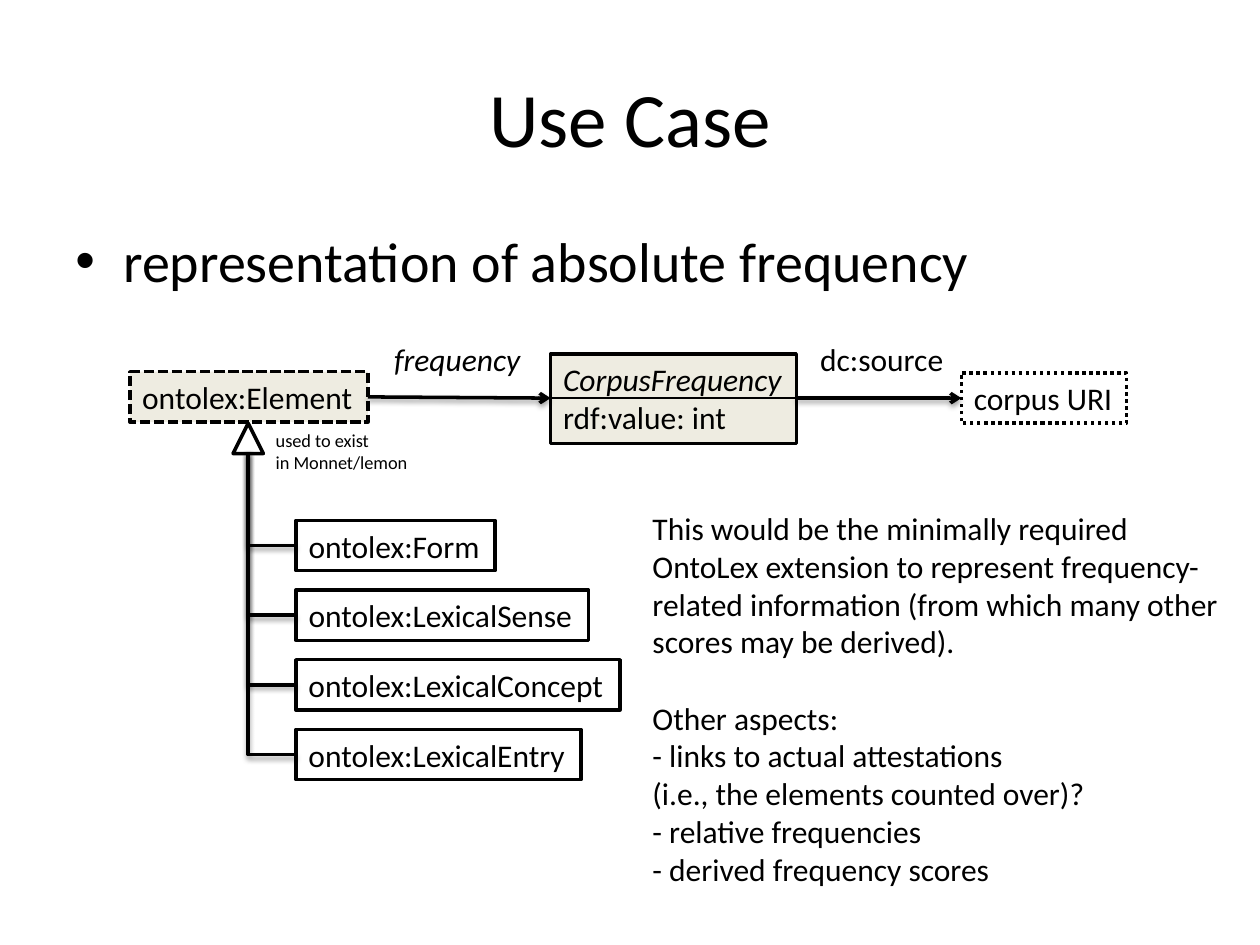
"""Builds the use case slide about absolute frequency as a small class diagram."""
import dataclasses
import typing

import lxml.etree
import pptx
import pptx.dml.color
import pptx.enum.dml
import pptx.enum.shapes
import pptx.enum.text
import pptx.oxml.ns
import pptx.util

COLUMNS, ROWS = 100, 75
WIDTH, HEIGHT = pptx.util.Inches(10), pptx.util.Inches(7.5)
BLACK, WHITE, BEIGE = "000000", "FFFFFF", "EEECE1"
Shape = pptx.enum.shapes.MSO_SHAPE
Connector = pptx.enum.shapes.MSO_CONNECTOR
Dash = pptx.enum.dml.MSO_LINE
Anchor = pptx.enum.text.MSO_ANCHOR
Align = pptx.enum.text.PP_ALIGN


@dataclasses.dataclass(frozen=True)
class Area:
    """A rectangle in grid columns and rows."""
    column: float
    row: float
    columns: float
    rows: float

    def lengths(self) -> tuple[int, int, int, int]:
        """Return left, top, width and height as slide lengths."""
        return across(self.column), down(self.row), across(self.columns), down(self.rows)


@dataclasses.dataclass(frozen=True)
class Line:
    """One line of text with its slant and the points above it."""
    text: str
    italic: bool = False
    above: float = 0


@dataclasses.dataclass(frozen=True)
class Node:
    """A framed class of the diagram."""
    area: Area
    lines: tuple[Line, ...]
    fill: typing.Optional[str] = WHITE
    dash: typing.Optional[int] = None


@dataclasses.dataclass(frozen=True)
class Label:
    """Free text on the page."""
    area: Area
    lines: tuple[Line, ...]
    size: float = 18


@dataclasses.dataclass(frozen=True)
class Link:
    """A connector between two grid points."""
    start: tuple[float, float]
    end: tuple[float, float]
    width: float = 2
    arrow: bool = False
    bent: bool = False
    shadow: bool = True


ELEMENT = Node(Area(10.3, 29.5, 18.9, 4), (Line("ontolex:Element"),), BEIGE, Dash.SQUARE_DOT)
FREQUENCY = Node(Area(43.7, 28.1, 19.5, 7.1),
                 (Line("CorpusFrequency", italic=True), Line("rdf:value: int")), BEIGE)
CORPUS = Node(Area(76.3, 29.6, 13.1, 4), (Line("corpus URI"),), None, Dash.ROUND_DOT)
SUBCLASSES = [
    Node(Area(23.5, 41.3 + 5.53 * step, columns, 4), (Line(f"ontolex:{name}"),))
    for step, (name, columns) in enumerate(
        [("Form", 15.8), ("LexicalSense", 23.2), ("LexicalConcept", 25.7), ("LexicalEntry", 22.6)])
]
TRIANGLE = Node(Area(18.5, 33.6, 2.4, 2.4), ())
TRUNK = (19.7, 35.9)
AXIS = 31.6
LINKS = [Link((node.area.column, node.area.row + node.area.rows / 2), TRUNK, bent=True)
         for node in SUBCLASSES] + [
    Link((29.2, 31.5), (43.7, AXIS), arrow=True),
    Link((63.2, AXIS), (76.3, AXIS), arrow=True),
    Link((43.7, AXIS), (63.2, AXIS), width=0.75, shadow=False),
]
LABELS = [
    Label(Area(30.3, 26.5, 12.4, 4), (Line("frequency", italic=True),)),
    Label(Area(64.1, 26.5, 11.9, 4), (Line("dc:source"),)),
    Label(Area(20.9, 33.6, 12.6, 4.5), (Line("used to exist"), Line("in Monnet/lemon")), 10.5),
    Label(Area(50.8, 39.9, 47.5, 31.3), (
        Line("This would be the minimally required"),
        Line("OntoLex extension to represent frequency-"),
        Line("related information (from which many other"),
        Line("scores may be derived)."),
        Line("Other aspects:", above=22),
        Line("- links to actual attestations"),
        Line("(i.e., the elements counted over)?"),
        Line("- relative frequencies"),
        Line("- derived frequency scores"),
    )),
]


def across(columns: float) -> int:
    """Turn grid columns into a length."""
    return round(WIDTH * columns / COLUMNS)


def down(rows: float) -> int:
    """Turn grid rows into a length."""
    return round(HEIGHT * rows / ROWS)


def colour(code: str) -> pptx.dml.color.RGBColor:
    """Turn a hex string into a colour."""
    return pptx.dml.color.RGBColor.from_string(code)


def add_xml(parent, tag: str, **attributes: str):
    """Append a drawing element with attributes."""
    child = lxml.etree.SubElement(parent, pptx.oxml.ns.qn(tag))
    for name, value in attributes.items():
        child.set(name, value)
    return child


def write(box, lines: typing.Sequence[Line], size: float, wrap: bool = False,
          align: int = Align.LEFT, anchor: int = Anchor.TOP) -> None:
    """Fill a box with formatted lines."""
    frame = box.text_frame
    frame.text = "\n".join(line.text for line in lines)
    frame.word_wrap = wrap
    frame.vertical_anchor = anchor
    for line, para in zip(lines, frame.paragraphs):
        para.alignment = align
        para.space_before = pptx.util.Pt(line.above)
        for span in para.runs:
            span.font.name = "Calibri"
            span.font.size = pptx.util.Pt(size)
            span.font.italic = line.italic
            span.font.color.rgb = colour(BLACK)


def draw_node(page, node: Node, preset: int = Shape.RECTANGLE) -> None:
    """Draw a framed shape with its text."""
    box = page.shapes.add_shape(preset, *node.area.lengths())
    box.shadow.inherit = False
    if node.fill:
        box.fill.solid()
        box.fill.fore_color.rgb = colour(node.fill)
    else:
        box.fill.background()
    box.line.color.rgb = colour(BLACK)
    box.line.width = pptx.util.Pt(2)
    if node.dash:
        box.line.dash_style = node.dash
    if node.lines:
        write(box, node.lines, 18)


def draw_link(page, link: Link) -> None:
    """Draw a straight or bent connector."""
    kind = Connector.ELBOW if link.bent else Connector.STRAIGHT
    line = page.shapes.add_connector(kind, across(link.start[0]), down(link.start[1]),
                                     across(link.end[0]), down(link.end[1]))
    line.line.color.rgb = colour(BLACK)
    line.line.width = pptx.util.Pt(link.width)
    properties = line._element.spPr
    if link.bent:
        properties.find(pptx.oxml.ns.qn("a:prstGeom")).set("prst", "bentConnector2")
    if link.arrow:
        add_xml(line.line._get_or_add_ln(), "a:tailEnd", type="arrow")
    effects = add_xml(properties, "a:effectLst")
    if link.shadow:
        shadow = add_xml(effects, "a:outerShdw", blurRad=str(pptx.util.Pt(3.1)),
                         dist=str(pptx.util.Pt(1.6)), dir="5400000", rotWithShape="0")
        add_xml(add_xml(shadow, "a:srgbClr", val=BLACK), "a:alpha", val="38000")


def draw_heading(page) -> None:
    """Draw the title and the bulleted statement."""
    title = page.shapes.add_textbox(*Area(5, 3, 90, 12.5).lengths())
    write(title, [Line("Use Case")], 44, True, Align.CENTER, Anchor.MIDDLE)
    body = page.shapes.add_textbox(*Area(5, 17.5, 90, 49.5).lengths())
    write(body, [Line("representation of absolute frequency", above=6.4)], 32, True)
    properties = body.text_frame.paragraphs[0]._p.get_or_add_pPr()
    indent = pptx.util.Inches(0.38)
    properties.set("marL", str(indent))
    properties.set("indent", str(-indent))
    add_xml(properties, "a:buFont", typeface="Arial")
    add_xml(properties, "a:buChar", char="•")


def main() -> None:
    """Build and save the deck."""
    deck = pptx.Presentation()
    deck.slide_width, deck.slide_height = WIDTH, HEIGHT
    page = deck.slides.add_slide(deck.slide_layouts[6])
    draw_heading(page)
    for node in [ELEMENT, *SUBCLASSES, FREQUENCY, CORPUS]:
        draw_node(page, node)
    draw_node(page, TRIANGLE, Shape.ISOSCELES_TRIANGLE)
    for link in LINKS:
        draw_link(page, link)
    for label in LABELS:
        write(page.shapes.add_textbox(*label.area.lengths()), label.lines, label.size)
    deck.save("out.pptx")


if __name__ == "__main__":
    main()
